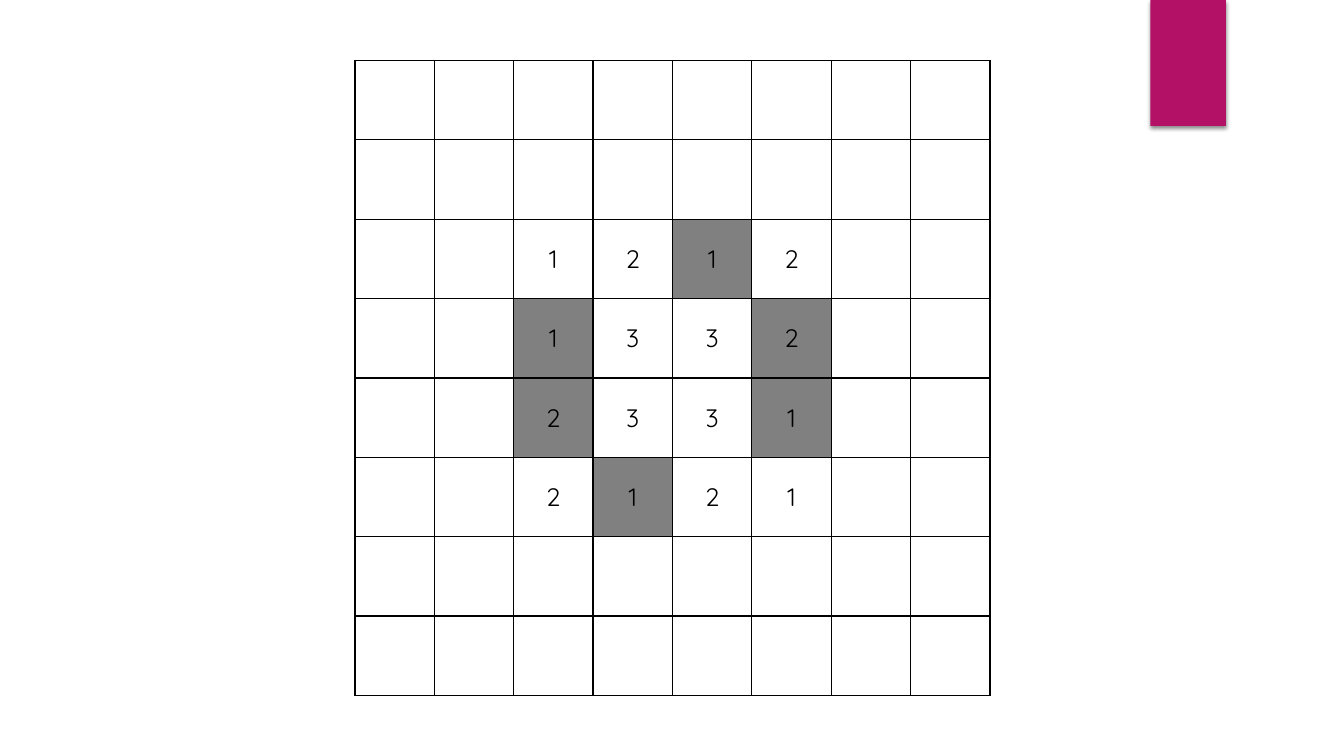
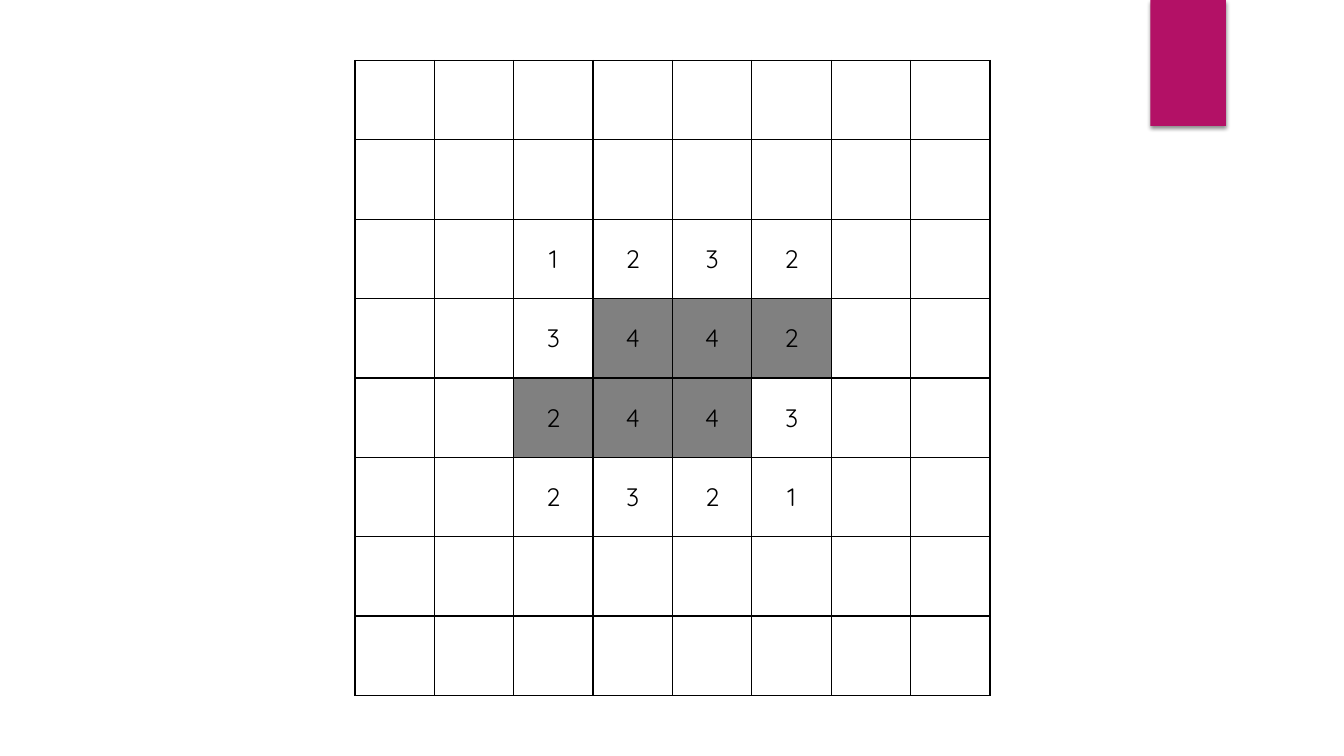
from dataclasses import dataclass

from lxml import etree
from pptx import Presentation
from pptx.dml.color import RGBColor
from pptx.enum.shapes import MSO_SHAPE
from pptx.enum.text import MSO_ANCHOR, PP_ALIGN
from pptx.oxml import parse_xml
from pptx.oxml.ns import qn
from pptx.util import Inches, Pt

RECTANGLE = MSO_SHAPE.RECTANGLE
MIDDLE = MSO_ANCHOR.MIDDLE
CENTER = PP_ALIGN.CENTER
DRAWING = "http://schemas.openxmlformats.org/drawingml/2006/main"


@dataclass(frozen=True)
class Theme:
    accent: RGBColor = RGBColor(0xB3, 0x11, 0x66)
    live: RGBColor = RGBColor(0x80, 0x80, 0x80)
    ink: RGBColor = RGBColor(0, 0, 0)
    font: str = "Quicksand"
    count_size: Pt = Pt(18)
    border: Pt = Pt(1)


theme = Theme()

GRID_SIZE = 8
GRID_LEFT, GRID_TOP, GRID_SIDE = Inches(3.52), Inches(0.6), Inches(6.3)
BLOCK_START = 2

generations = [
    {
        "counts": ["1212", "1332", "2331", "2121"],
        "live": ["..#.", "#..#", "#..#", ".#.."],
    },
    {
        "counts": ["1232", "3442", "2443", "2321"],
        "live": ["....", ".###", "###.", "...."],
    },
]


def add_ribbon(page):
    ribbon = page.shapes.add_shape(
        RECTANGLE, Inches(11.41), Inches(0), Inches(0.75), Inches(1.25)
    )
    ribbon.fill.solid()
    ribbon.fill.fore_color.rgb = theme.accent
    ribbon.line.fill.background()
    ribbon.shadow.inherit = False
    effects = ribbon._element.spPr.find(qn("a:effectLst"))
    etree.SubElement(effects, qn("a:outerShdw"), blurRad=str(Pt(3)),
                     dist=str(Pt(2)), dir="5400000", rotWithShape="0")
    color = etree.SubElement(effects[0], qn("a:srgbClr"), val=str(theme.ink))
    etree.SubElement(color, qn("a:alpha"), val="45000")


def add_borders(cell):
    properties = cell._tc.get_or_add_tcPr()
    for side in ("lnL", "lnR", "lnT", "lnB"):
        properties.append(parse_xml(
            f'<a:{side} xmlns:a="{DRAWING}" w="{theme.border}"><a:solidFill>'
            f'<a:srgbClr val="{theme.ink}"/></a:solidFill></a:{side}>'
        ))


deck = Presentation()
deck.slide_width, deck.slide_height = Inches(13.33), Inches(7.5)
blank = deck.slide_layouts[6]

for generation in generations:
    page = deck.slides.add_slide(blank)
    add_ribbon(page)

    grid = page.shapes.add_table(
        GRID_SIZE, GRID_SIZE, GRID_LEFT, GRID_TOP, GRID_SIDE, GRID_SIDE
    ).table
    grid.first_row = False
    grid.horz_banding = False
    for cell in grid.iter_cells():
        add_borders(cell)
        cell.fill.background()

    for row, counts in enumerate(generation["counts"]):
        for column, count in enumerate(counts):
            cell = grid.cell(BLOCK_START + row, BLOCK_START + column)
            cell.vertical_anchor = MIDDLE
            if generation["live"][row][column] == "#":
                cell.fill.solid()
                cell.fill.fore_color.rgb = theme.live
            para = cell.text_frame.paragraphs[0]
            para.alignment = CENTER
            span = para.add_run()
            span.text = count
            span.font.name = theme.font
            span.font.size = theme.count_size
            span.font.color.rgb = theme.ink

deck.save("out.pptx")
